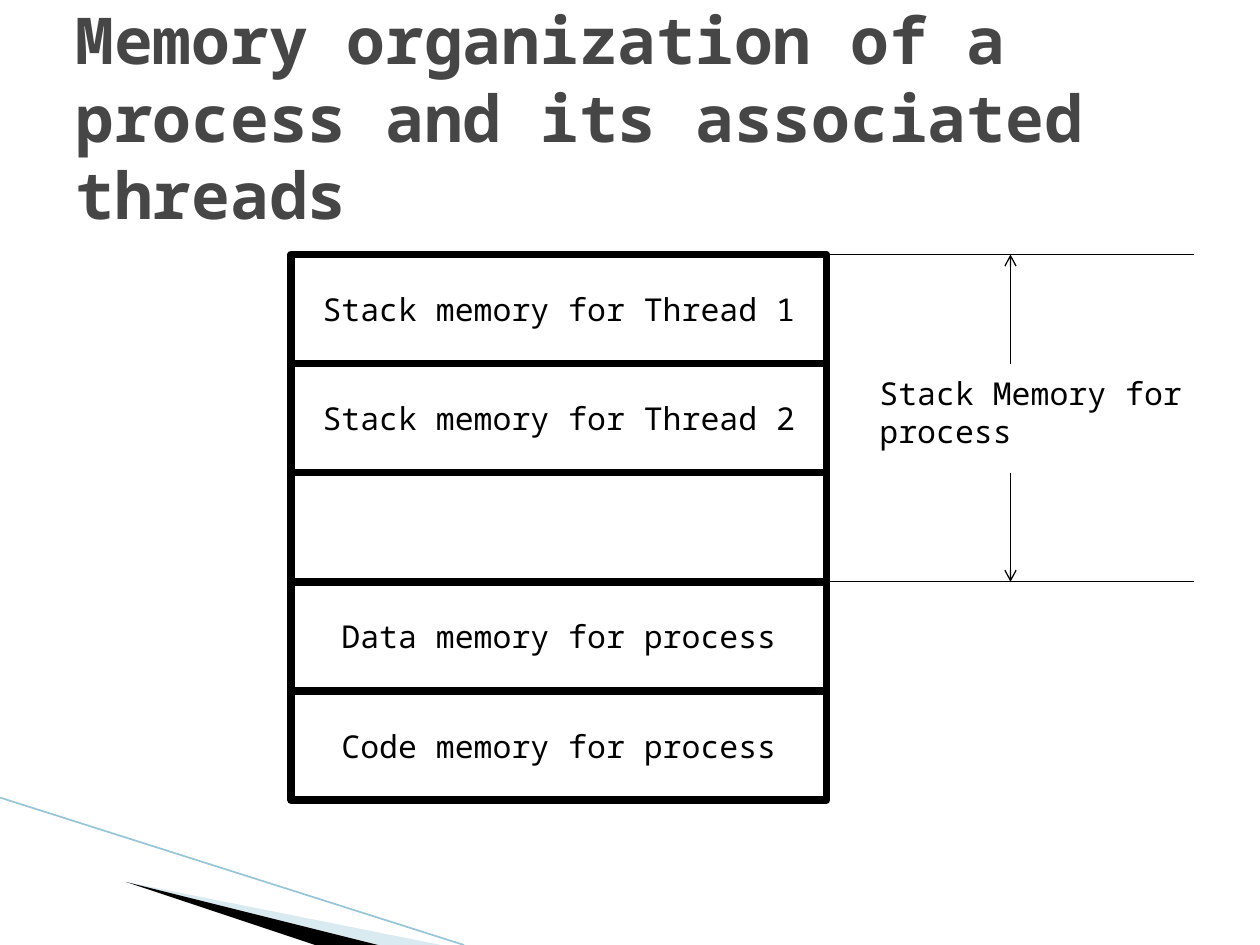
import pptx
import pptx.dml.color
import pptx.enum.shapes
import pptx.enum.text
import pptx.oxml
import pptx.oxml.ns
import pptx.util
from lxml import etree

WIDTH, HEIGHT = 10, 7.5
FONT = "Noto Sans Mono"
BLACK, TITLE_GREY = "000000", "464646"
PALE_BLUE, LINE_BLUE = "A0CBDC", "97C5D8"
SEGMENTS = [
    "Stack memory for Thread 1",
    "Stack memory for Thread 2",
    "",
    "Data memory for process",
    "Code memory for process",
]
STACK_ROWS = 3

inch = pptx.util.Inches
align = pptx.enum.text.PP_ALIGN
anchor = pptx.enum.text.MSO_ANCHOR


def colour(value):
    return pptx.dml.color.RGBColor.from_string(value)


def add_child(parent, tag, **attributes):
    child = etree.SubElement(parent, pptx.oxml.ns.qn(tag))
    for key, value in attributes.items():
        child.set(key, value)
    return child


def write(shape, text, size=18, ink=BLACK, bold=False,
          alignment=align.LEFT, vertical=anchor.TOP):
    frame = shape.text_frame
    frame.word_wrap = True
    frame.vertical_anchor = vertical
    paragraph = frame.paragraphs[0]
    paragraph.alignment = alignment
    run = paragraph.add_run()
    run.text = text
    styles = {"name": FONT, "size": pptx.util.Pt(size), "bold": bold}
    for key, value in styles.items():
        setattr(run.font, key, value)
    run.font.color.rgb = colour(ink)


def add_line(slide, start, end, ink=BLACK, weight=0.75, arrow=False):
    line = slide.shapes.add_connector(
        pptx.enum.shapes.MSO_CONNECTOR.STRAIGHT,
        *(inch(length) for length in (*start, *end)))
    line.line.color.rgb = colour(ink)
    line.line.width = pptx.util.Pt(weight)
    if arrow:
        add_child(line.line._get_or_add_ln(), "a:tailEnd", type="arrow")
    add_child(line._element.spPr, "a:effectLst")


def add_wedge(slide, points, fill, opacity=100):
    builder = slide.shapes.build_freeform(*points[0], scale=inch(1))
    builder.add_line_segments(points[1:], close=True)
    wedge = builder.convert_to_shape()
    wedge.shadow.inherit = False
    wedge.fill.solid()
    wedge.fill.fore_color.rgb = colour(fill)
    wedge.line.fill.background()
    if opacity < 100:
        tone = wedge._element.spPr.find(".//" + pptx.oxml.ns.qn("a:srgbClr"))
        add_child(tone, "a:alpha", val=str(opacity * 1000))


def add_corner_sweep(slide, left, top, width, height):
    """Draw the wedges that fan out from the left edge to the bottom."""
    bottom = top + height
    tip = (left + 0.09 * width, top + 0.15 * height)
    ends = [left + share * width for share in (0.62, 0.76, 1)]
    add_wedge(slide, [tip, (ends[2], bottom), (ends[1], bottom)], PALE_BLUE, 40)
    add_wedge(slide, [tip, (ends[1], bottom), (ends[0], bottom)], BLACK)
    add_line(slide, (left, top), (ends[0], bottom), LINE_BLUE, 0.95)


def add_title(slide, left, top, width, height):
    title = slide.shapes.add_textbox(*map(inch, (left, top, width, height)))
    write(title, "Memory organization of a process and its associated threads",
          36.9, TITLE_GREY, True, vertical=anchor.MIDDLE)


def add_memory_map(slide, left, top, width, height):
    row = height / len(SEGMENTS)
    for index, label in enumerate(SEGMENTS):
        segment = slide.shapes.add_shape(
            pptx.enum.shapes.MSO_SHAPE.RECTANGLE,
            *map(inch, (left, top + index * row, width, row)))
        segment.shadow.inherit = False
        segment.fill.background()
        segment.line.color.rgb = colour(BLACK)
        segment.line.width = pptx.util.Pt(4.33)
        if label:
            write(segment, label, alignment=align.CENTER, vertical=anchor.MIDDLE)


def add_stack_span(slide, left, top, width, height):
    """Measure the stack rows between two rules, with a label in the middle."""
    right, bottom, middle = left + width, top + height, left + width / 2
    row = height / STACK_ROWS
    for edge, inner in ((top, top + row), (bottom, bottom - row)):
        add_line(slide, (left, edge), (right, edge))
        add_line(slide, (middle, inner), (middle, edge), arrow=True)
    label_left = left + 0.11 * width
    label = slide.shapes.add_textbox(
        *map(inch, (label_left, top + 1.04 * row, right - label_left, 0.82 * row)))
    write(label, "Stack Memory for process")


def main():
    deck = pptx.Presentation()
    deck.slide_width, deck.slide_height = inch(WIDTH), inch(HEIGHT)
    slide = deck.slides.add_slide(deck.slide_layouts[6])

    sweep_top = 6.33
    add_corner_sweep(slide, 0, sweep_top, 0.594 * WIDTH, HEIGHT - sweep_top)
    add_title(slide, 0.05 * WIDTH, 0.04 * HEIGHT, 0.9 * WIDTH, 1.25)

    map_left, map_top, map_width, map_height = 2.31, 2.02, 4.25, 4.33
    add_memory_map(slide, map_left, map_top, map_width, map_height)
    add_stack_span(slide, map_left + map_width, map_top, 2.92,
                   map_height * STACK_ROWS / len(SEGMENTS))
    deck.save("out.pptx")


if __name__ == "__main__":
    main()
